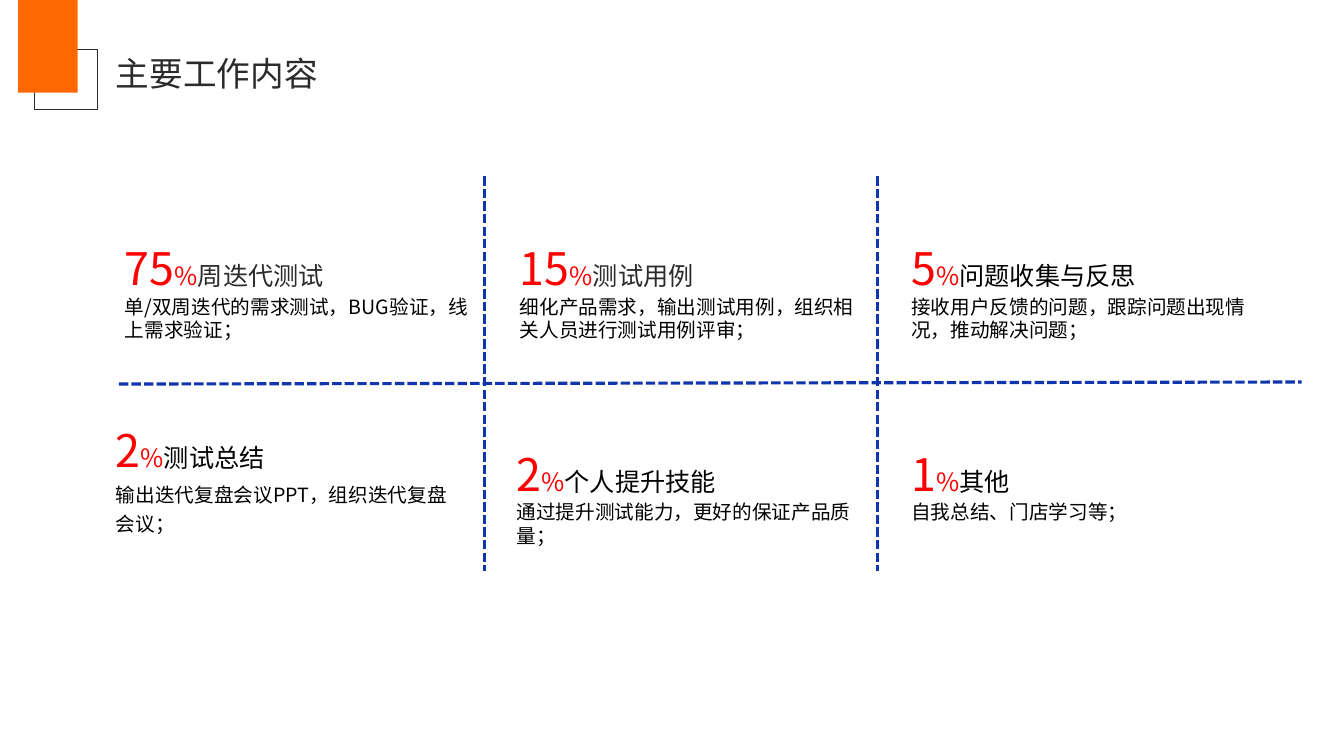
from lxml.etree import SubElement
from pptx import Presentation
from pptx.dml.color import RGBColor
from pptx.enum.dml import MSO_LINE
from pptx.enum.shapes import MSO_CONNECTOR, MSO_SHAPE
from pptx.enum.text import MSO_ANCHOR, MSO_AUTO_SIZE, PP_ALIGN
from pptx.oxml.ns import qn
from pptx.util import Inches, Pt

FONT = "Noto Sans CJK SC"
DARK = RGBColor(0x2B, 0x2B, 0x2B)
BLACK = RGBColor(0, 0, 0)
ORANGE = RGBColor(0xFF, 0x68, 0x00)
RED = RGBColor(0xFF, 0, 0)
BLUE = RGBColor(0x10, 0x35, 0xAC)

# Boxes are (left, top, width, height); parts are percentages of their box
SLIDE_BOX = (0, 0, Inches(13.33), Inches(7.5))
HEADER = (0, 0, 25, 15)
MATRIX = (8.85, 23.33, 88, 52.14)

COLUMN_DIVIDERS = (30.94, 64.11)
ROW_DIVIDER = (52.69, 52.17)  # left end, right end
TASK_WIDTH = 31.03
# left, top, height, share, heading, heading colour, detail, detail line spacing
TASKS = [
    (-0.34, 15.09, 28.39, "75", "周迭代测试", DARK,
     "单/双周迭代的需求测试，BUG验证，线上需求验证；", 1),
    (33.05, 15.09, 28.39, "15", "测试用例", DARK,
     "细化产品需求，输出测试用例，组织相关人员进行测试用例评审；", 1),
    (66.16, 15.09, 28.39, "5", "问题收集与反思", BLACK,
     "接收用户反馈的问题，跟踪问题出现情况，推动解决问题；", 1),
    (-1.1, 61.3, 31.45, "2", "测试总结", BLACK,
     "输出迭代复盘会议PPT，组织迭代复盘会议；", 1.25),
    (32.78, 67.3, 28.39, "2", "个人提升技能", BLACK,
     "通过提升测试能力，更好的保证产品质量；", 1),
    (66.16, 67.3, 22.25, "1", "其他", BLACK, "自我总结、门店学习等；", 1),
]


def within(box, left, top, width, height):
    x, y, w, h = box
    return (int(x + w * left / 100), int(y + h * top / 100),
            int(w * width / 100), int(h * height / 100))


def add_text(paragraph, text, size=18, color=BLACK):
    run = paragraph.add_run()
    run.text = text
    run.font.size = Pt(size)
    run.font.color.rgb = color
    run.font.name = FONT
    SubElement(run.font._element, qn("a:ea")).set("typeface", FONT)


def add_rectangle(slide, box, fill=None, line=None):
    rectangle = slide.shapes.add_shape(MSO_SHAPE.RECTANGLE, *box)
    rectangle.shadow.inherit = False
    if fill is None:
        rectangle.fill.background()
    else:
        rectangle.fill.solid()
        rectangle.fill.fore_color.rgb = fill
    if line is None:
        rectangle.line.fill.background()
    else:
        rectangle.line.color.rgb = line
        rectangle.line.width = Pt(1)


def add_divider(slide, box, start, end):
    x1, y1, _, _ = within(box, *start, 0, 0)
    x2, y2, _, _ = within(box, *end, 0, 0)
    divider = slide.shapes.add_connector(MSO_CONNECTOR.STRAIGHT, x1, y1, x2, y2)
    divider.line.color.rgb = BLUE
    divider.line.width = Pt(2.25)
    divider.line.dash_style = MSO_LINE.SQUARE_DOT
    SubElement(divider._element.spPr, qn("a:effectLst"))


def add_header(slide, box):
    # Corner ornament
    add_rectangle(slide, within(box, 10.2, 43.53, 18.92, 53.33), line=DARK)
    add_rectangle(slide, within(box, 5.4, 0, 17.72, 81.8), fill=ORANGE)
    # Title, slightly wider than its six characters so it stays on one line
    title = slide.shapes.title
    title.left, title.top, title.width, title.height = within(
        box, 34.52, 46.7, 63, 35.53)
    frame = title.text_frame
    frame.margin_left = frame.margin_right = 0
    frame.margin_top = frame.margin_bottom = 0
    frame.word_wrap = False
    frame.auto_size = MSO_AUTO_SIZE.SHAPE_TO_FIT_TEXT
    frame.vertical_anchor = MSO_ANCHOR.TOP
    frame.paragraphs[0].alignment = PP_ALIGN.LEFT
    add_text(frame.paragraphs[0], "主要工作内容", size=24, color=DARK)


def add_task(slide, box, share, heading, heading_color, detail, spacing):
    frame = slide.shapes.add_textbox(*box).text_frame
    frame.word_wrap = True
    frame.auto_size = MSO_AUTO_SIZE.SHAPE_TO_FIT_TEXT
    headline = frame.paragraphs[0]
    add_text(headline, share, size=32, color=RED)
    add_text(headline, "%", color=RED)
    add_text(headline, heading, color=heading_color)
    description = frame.add_paragraph()
    description.line_spacing = float(spacing)
    add_text(description, detail, size=14)


def add_matrix(slide, box):
    # Dashed dividers
    for column in COLUMN_DIVIDERS:
        add_divider(slide, box, (column, 0), (column, 100))
    add_divider(slide, box, (0, ROW_DIVIDER[0]), (100, ROW_DIVIDER[1]))
    # Work items
    for left, top, height, *content in TASKS:
        add_task(slide, within(box, left, top, TASK_WIDTH, height), *content)


def main():
    presentation = Presentation()
    presentation.slide_width, presentation.slide_height = SLIDE_BOX[2:]
    slide = presentation.slides.add_slide(presentation.slide_layouts[5])
    add_header(slide, within(SLIDE_BOX, *HEADER))
    add_matrix(slide, within(SLIDE_BOX, *MATRIX))
    presentation.save("out.pptx")


if __name__ == "__main__":
    main()
